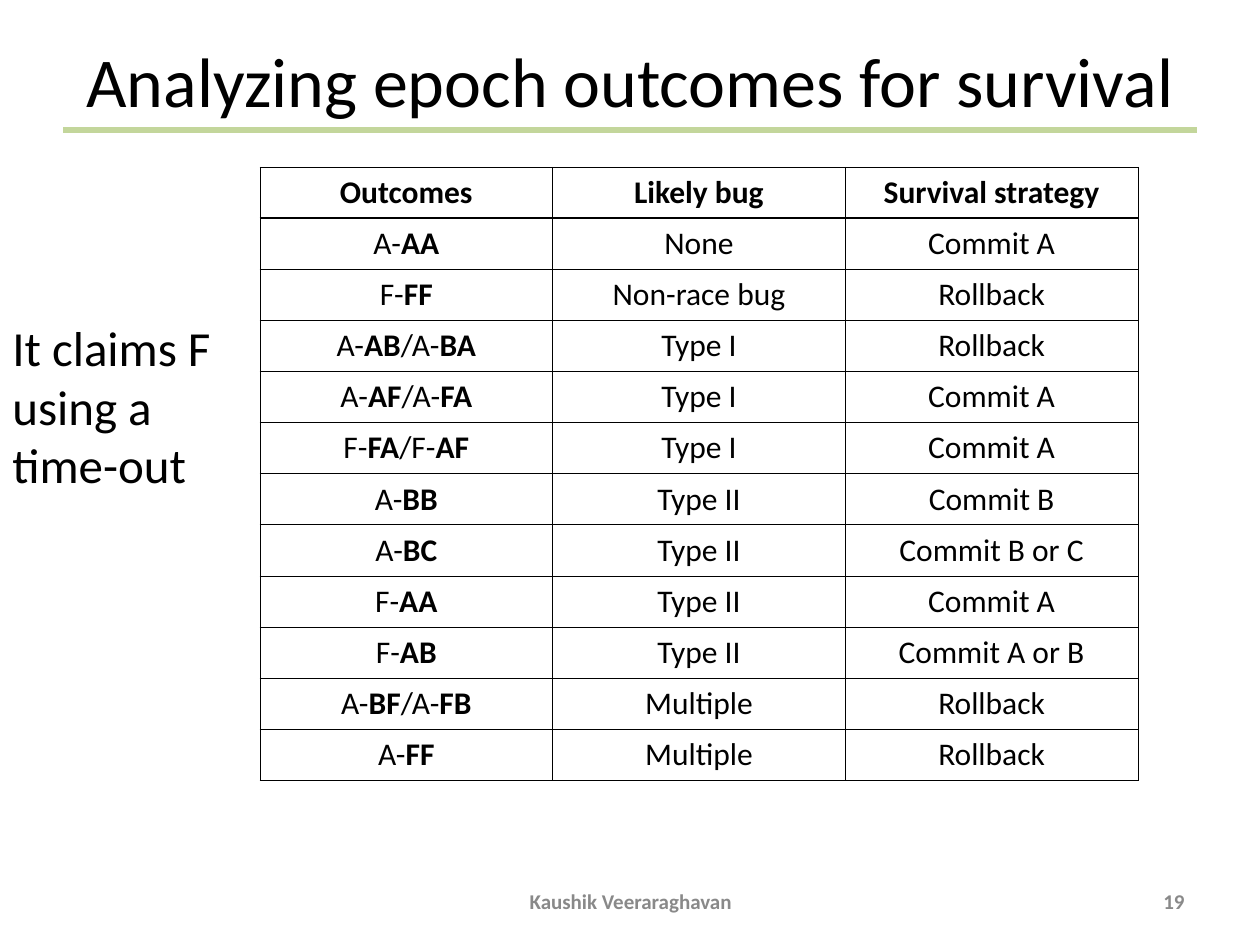
from lxml.etree import SubElement
from pptx import Presentation
from pptx.dml.color import RGBColor
from pptx.enum.shapes import MSO_CONNECTOR
from pptx.enum.text import MSO_ANCHOR, MSO_AUTO_SIZE, PP_ALIGN
from pptx.oxml import parse_xml
from pptx.oxml.ns import nsdecls, qn
from pptx.util import Cm, Pt

FONT = "Calibri"
BLACK, GREY, GREEN = "000000", "898989", "C3D69B"
THIN, THICK = 0.45, 1.47

# Text between asterisks is bold.
ROWS = [
    ("*Outcomes*", "*Likely bug*", "*Survival strategy*"),
    ("A-*AA*", "None", "Commit A"),
    ("F-*FF*", "Non-race bug", "Rollback"),
    ("A-*AB*/A-*BA*", "Type I", "Rollback"),
    ("A-*AF*/A-*FA*", "Type I", "Commit A"),
    ("F-*FA*/F-*AF*", "Type I", "Commit A"),
    ("A-*BB*", "Type II", "Commit B"),
    ("A-*BC*", "Type II", "Commit B or C"),
    ("F-*AA*", "Type II", "Commit A"),
    ("F-*AB*", "Type II", "Commit A or B"),
    ("A-*BF*/A-*FB*", "Multiple", "Rollback"),
    ("A-*FF*", "Multiple", "Rollback"),
]
LEFT, TOP, COL, ROW = 5.24, 3.37, 5.9, 1.03

MID, END, START = PP_ALIGN.CENTER, PP_ALIGN.RIGHT, PP_ALIGN.LEFT
# text, (left, top, width, height), size, colour, alignment, anchor
BOXES = [
    ("Analyzing epoch outcomes for survival", (1.27, 0.76, 22.86, 1.68),
     40, BLACK, MID, MSO_ANCHOR.MIDDLE),
    ("*Kaushik Veeraraghavan*", (8.69, 17.65, 8.05, 1.02),
     12, GREY, MID, MSO_ANCHOR.MIDDLE),
    ("*19*", (18.21, 17.65, 5.92, 1.02), 12, GREY, END, MSO_ANCHOR.MIDDLE),
    ("It claims F using a time-out", (0, 6.27, 5.28, 3.81),
     28, BLACK, START, MSO_ANCHOR.TOP),
]


def color(code):
    return RGBColor.from_string(code)


def write(frame, text, size, code, align):
    """Fill the frame with one paragraph, bold between asterisks."""
    para = frame.paragraphs[0]
    para.alignment = align
    for i, part in enumerate(text.split("*")):
        if part:
            run = para.add_run()
            run.text = part
            font = run.font
            font.name, font.size, font.bold = FONT, Pt(size), i % 2 == 1
            font.color.rgb = color(code)


def border(cell, widths):
    """Draw the left, right, top and bottom edges, widths in points."""
    props = cell._tc.get_or_add_tcPr()
    for i, (side, width) in enumerate(zip("LRTB", widths)):
        props.insert(i, parse_xml(
            f'<a:ln{side} {nsdecls("a")} w="{Pt(width)}"><a:solidFill>'
            f'<a:srgbClr val="{BLACK}"/></a:solidFill></a:ln{side}>'))


def add_rule(slide):
    y = Cm(2.62)
    rule = slide.shapes.add_connector(
        MSO_CONNECTOR.STRAIGHT, Cm(1.27), y, Cm(24.13), y)
    rule.line.color.rgb = color(GREEN)
    rule.line.width = Pt(3.5)
    SubElement(rule._element.spPr, qn("a:effectLst"))


def add_grid(slide):
    rows, cols = len(ROWS), len(ROWS[0])
    grid = slide.shapes.add_table(
        rows, cols, Cm(LEFT), Cm(TOP), Cm(COL * cols), Cm(ROW * rows)).table
    grid.first_row = grid.horz_banding = False
    for col in grid.columns:
        col.width = Cm(COL)
    for r, texts in enumerate(ROWS):
        grid.rows[r].height = Cm(ROW)
        for c, text in enumerate(texts):
            cell = grid.cell(r, c)
            cell.fill.background()
            border(cell, (THIN, THIN, THICK if r == 1 else THIN,
                          THICK if r == 0 else THIN))
            write(cell.text_frame, text, 18, BLACK, MID)


def add_box(slide, text, place, size, code, align, anchor):
    frame = slide.shapes.add_textbox(*map(Cm, place)).text_frame
    frame.word_wrap = True
    frame.vertical_anchor = anchor
    if anchor == MSO_ANCHOR.TOP:
        frame.auto_size = MSO_AUTO_SIZE.SHAPE_TO_FIT_TEXT
    write(frame, text, size, code, align)


def main():
    deck = Presentation()
    deck.slide_width, deck.slide_height = Cm(25.4), Cm(19.05)
    slide = deck.slides.add_slide(deck.slide_layouts[6])
    add_rule(slide)
    add_grid(slide)
    for box in BOXES:
        add_box(slide, *box)
    deck.save("out.pptx")


if __name__ == "__main__":
    main()
